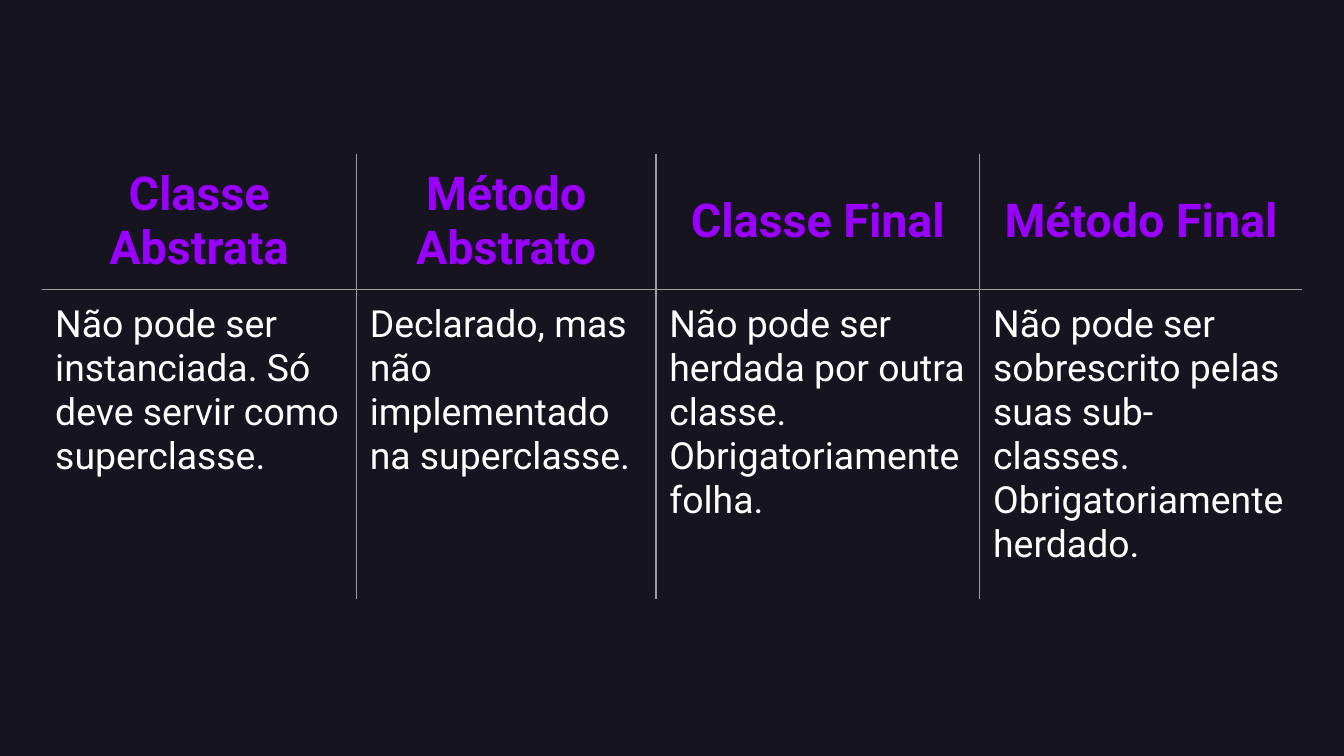
from lxml import etree
from pptx import Presentation
from pptx.dml.color import RGBColor
from pptx.enum.text import MSO_ANCHOR, PP_ALIGN
from pptx.oxml.ns import qn
from pptx.util import Pt

BACKGROUND, PURPLE, WHITE, GRID = "16141F", "9900FF", "FFFFFF", "9E9E9E"


def write(cell, text, size, color, bold=False, align=PP_ALIGN.LEFT, anchor=MSO_ANCHOR.TOP):
    cell.margin_left = cell.margin_right = cell.margin_top = cell.margin_bottom = Pt(7.2)
    cell.vertical_anchor = anchor
    p = cell.text_frame.paragraphs[0]
    p.alignment = align
    r = p.add_run()
    r.text = text
    r.font.name, r.font.size, r.font.bold = "Roboto", Pt(size), bold
    r.font.color.rgb = RGBColor.from_string(color)


def set_borders(cell, visible):
    """Draw the sides whose flag is true and clear the others."""
    tc_pr = cell._tc.get_or_add_tcPr()
    for side, shown in visible.items():
        ln = etree.SubElement(tc_pr, qn(f"a:ln{side}"), w=str(Pt(0.75)))
        if shown:
            fill = etree.SubElement(ln, qn("a:solidFill"))
            etree.SubElement(fill, qn("a:srgbClr"), val=GRID)
        else:
            etree.SubElement(ln, qn("a:noFill"))


prs = Presentation()
prs.slide_width, prs.slide_height = Pt(720), Pt(405)
s = prs.slides.add_slide(prs.slide_layouts[6])
s.background.fill.solid()
s.background.fill.fore_color.rgb = RGBColor.from_string(BACKGROUND)

columns = [
    (168.5, "Classe Abstrata", "Não pode ser instanciada. Só deve servir como superclasse."),
    (160.5, "Método Abstrato", "Declarado, mas não implementado na superclasse."),
    (173.5, "Classe Final", "Não pode ser herdada por outra classe. Obrigatoriamente folha."),
    (172.8, "Método Final",
     "Não pode ser sobrescrito pelas suas sub-classes. Obrigatoriamente herdado."),
]
row_heights = [68.4, 165.6]
table_width = sum(width for width, _, _ in columns)

table = s.shapes.add_table(len(row_heights), len(columns), Pt(22.4), Pt(82.3),
                           Pt(table_width), Pt(sum(row_heights))).table
table.first_row = table.horz_banding = False
for row, height in zip(table.rows, row_heights):
    row.height = Pt(height)

last = len(columns) - 1
for i, (width, heading, description) in enumerate(columns):
    table.columns[i].width = Pt(width)
    head, body = table.cell(0, i), table.cell(1, i)
    write(head, heading, 25, PURPLE, bold=True, align=PP_ALIGN.CENTER, anchor=MSO_ANCHOR.MIDDLE)
    write(body, description, 20, WHITE)
    for cell, is_head in ((head, True), (body, False)):
        set_borders(cell, {"L": i > 0, "R": i < last, "T": not is_head, "B": is_head})
        cell.fill.background()

prs.save("out.pptx")
